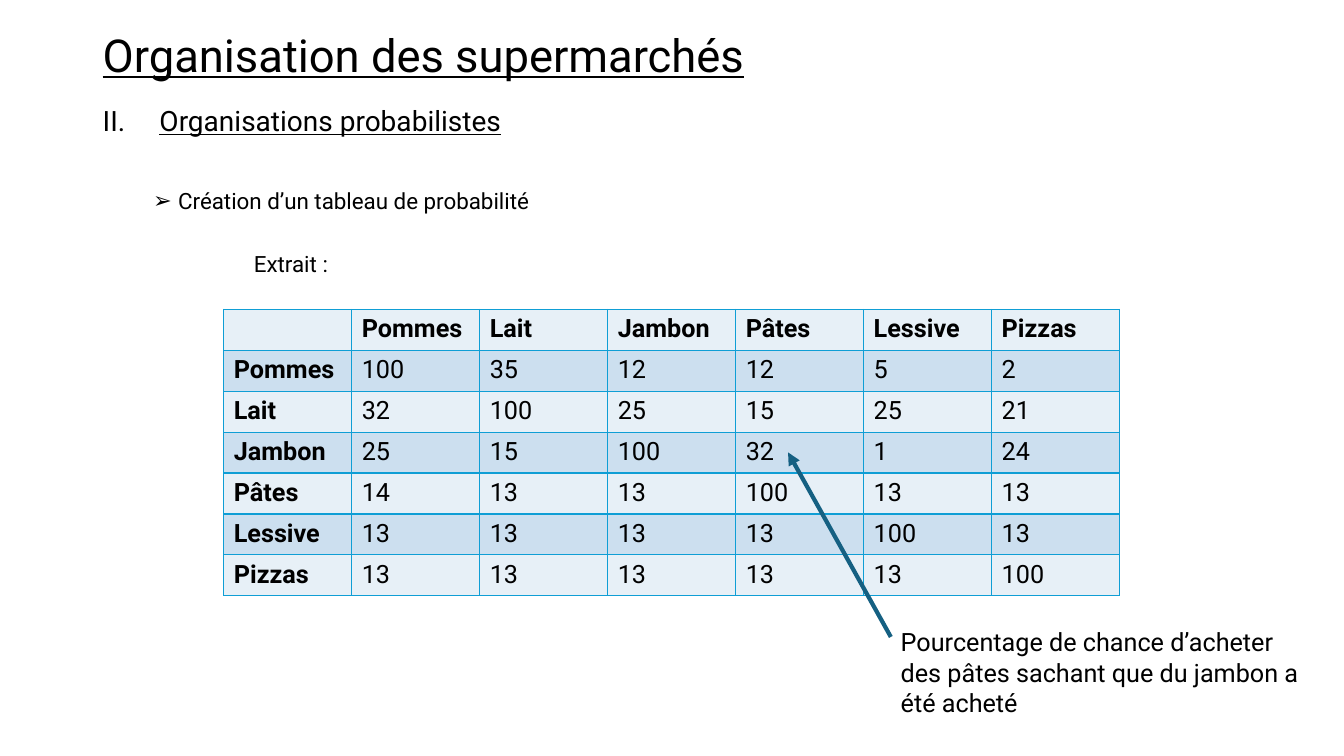
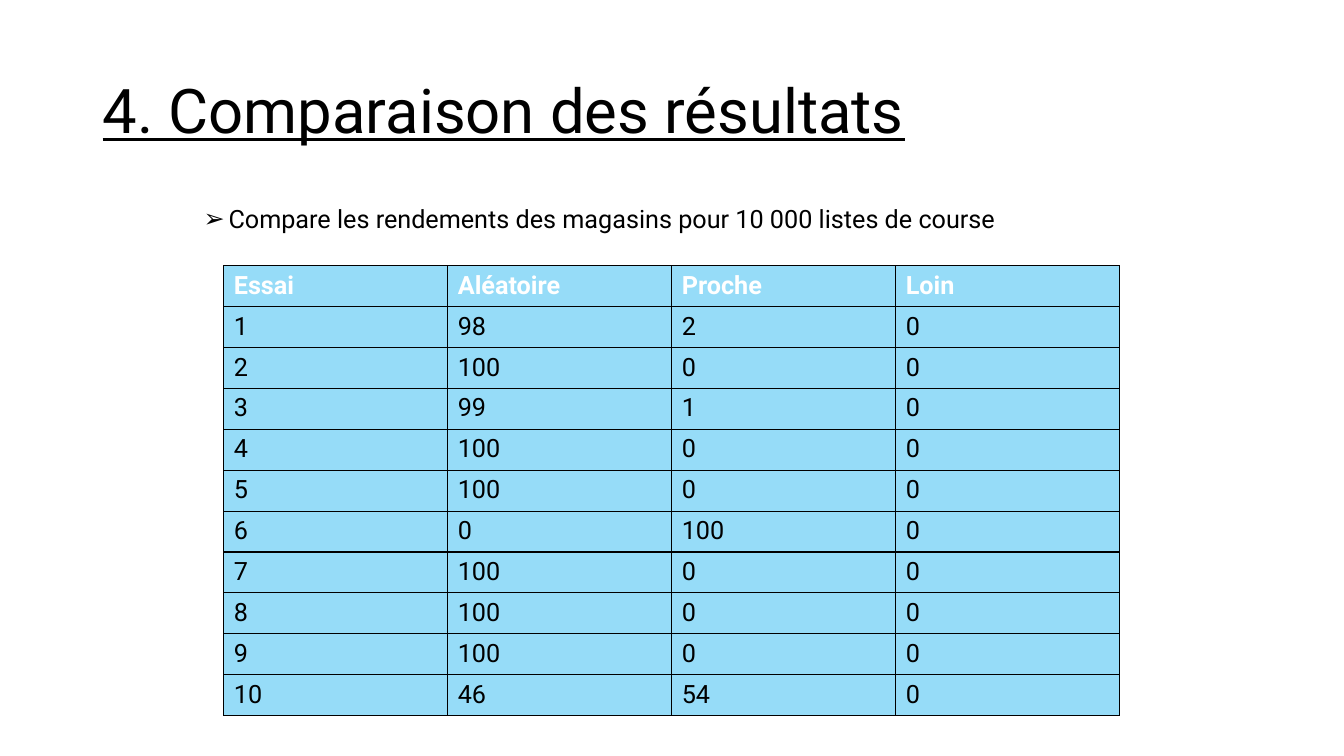
from lxml import etree
from pptx import Presentation, util as u
from pptx.dml.color import RGBColor
from pptx.enum import shapes, text
from pptx.oxml import ns

FONT = "Roboto"
BLACK, WHITE = "000000", "FFFFFF"
BORDER_BLUE, ARROW_BLUE = "0F9ED5", "156082"
PALE, MID, SKY = "E7F0F7", "CCDFEF", "96DCF8"

LEFT, WIDTH = 2.34, 29.21          # text column, cm
TABLE_LEFT, TABLE_WIDTH = 5.64, 22.58
ROW_HEIGHT = 1.03

PRODUCTS = ["Pommes", "Lait", "Jambon", "Pâtes", "Lessive", "Pizzas"]
CHANCES = [
    [100, 35, 12, 12, 5, 2],
    [32, 100, 25, 15, 25, 21],
    [25, 15, 100, 32, 1, 24],
    [14, 13, 13, 100, 13, 13],
    [13, 13, 13, 13, 100, 13],
    [13, 13, 13, 13, 13, 100],
]
SHOPS = ["Essai", "Aléatoire", "Proche", "Loin"]
TRIALS = [(98, 2, 0), (100, 0, 0), (99, 1, 0), (100, 0, 0), (100, 0, 0),
          (0, 100, 0), (100, 0, 0), (100, 0, 0), (100, 0, 0), (46, 54, 0)]


def rgb(value):
    return RGBColor.from_string(value)


def sub(parent, tag, **attrs):
    return etree.SubElement(parent, ns.qn(tag), **attrs)


def style(p, size, color=BLACK, bold=False, underline=False):
    f = p.font
    f.name, f.size, f.bold, f.underline = FONT, u.Pt(size), bold, underline
    f.color.rgb = rgb(color)


def add_box(s, box, anchor=text.MSO_ANCHOR.TOP):
    tf = s.shapes.add_textbox(*map(u.Cm, box)).text_frame
    tf.word_wrap = True
    tf.vertical_anchor = anchor
    return tf


def add_title(s, box, title, size):
    p = add_box(s, box, text.MSO_ANCHOR.MIDDLE).paragraphs[0]
    p.text = title
    p.line_spacing = 0.9
    style(p, size, underline=True)


def add_outline(s, box, items):
    """Items: text, size, underline, space before, margin, hanging, bullet."""
    tf = add_box(s, box)
    for i, (words, size, underline, before, margin, hanging, bullet) in enumerate(items):
        p = tf.paragraphs[0] if i == 0 else tf.add_paragraph()
        p.text = words
        p.line_spacing = 0.9
        p.space_before = u.Pt(before)
        pPr = p._p.get_or_add_pPr()
        pPr.set("marL", str(u.Cm(margin)))
        pPr.set("indent", str(-u.Cm(hanging)))
        if bullet == "II.":
            sub(pPr, "a:buAutoNum", type="romanUcPeriod", startAt="2")
        elif bullet:
            sub(pPr, "a:buFont", typeface="Arial")
            sub(pPr, "a:buChar", char=bullet)
        else:
            sub(pPr, "a:buNone")
        style(p, size, underline=underline)


def set_borders(cell, color):
    tcPr = cell._tc.get_or_add_tcPr()
    for i, side in enumerate(("a:lnL", "a:lnR", "a:lnT", "a:lnB")):
        ln = etree.Element(ns.qn(side), w=str(u.Pt(1)))
        sub(sub(ln, "a:solidFill"), "a:srgbClr", val=color)
        tcPr.insert(i, ln)


def add_grid(s, box, rows, fills, border, header_color=BLACK, bold_first_col=False):
    left, top, width, height = map(u.Cm, box)
    table = s.shapes.add_table(len(rows), len(rows[0]), left, top, width, height).table
    table.first_row = table.horz_banding = False
    for r, row in enumerate(rows):
        for c, value in enumerate(row):
            cell = table.cell(r, c)
            cell.fill.solid()
            cell.fill.fore_color.rgb = rgb(fills[r % len(fills)])
            set_borders(cell, border)
            p = cell.text_frame.paragraphs[0]
            p.text = str(value)
            style(p, 18, header_color if r == 0 else BLACK,
                  bold=r == 0 or (bold_first_col and c == 0))


def add_arrow(s, start, end):
    line = s.shapes.add_connector(shapes.MSO_CONNECTOR.STRAIGHT,
                                  *map(u.Cm, (*start, *end)))
    line.line.color.rgb = rgb(ARROW_BLUE)
    line.line.width = u.Pt(3)
    sub(line.line._get_or_add_ln(), "a:tailEnd", type="triangle")
    sub(line._element.spPr, "a:effectLst")


def add_callout(s, box, words, target):
    left, top = box[:2]
    tf = add_box(s, box)
    tf.auto_size = text.MSO_AUTO_SIZE.SHAPE_TO_FIT_TEXT
    p = tf.paragraphs[0]
    p.text = words
    style(p, 18)
    add_arrow(s, (left, top + 0.38), target)


def table_box(top, rows):
    return TABLE_LEFT, top, TABLE_WIDTH, ROW_HEIGHT * len(rows)


def probability_slide(s):
    add_title(s, (LEFT, 1.02, 24.05, 0.89), "Organisation des supermarchés", 32.4)
    add_outline(s, (LEFT, 2.59, WIDTH, 14.55), [
        ("Organisations probabilistes", 20, True, 0, 1.43, 1.43, "II."),
        ("Création d’un tableau de probabilité", 16, False, 37, 1.9, 0.63, "➢"),
        ("Extrait :", 16, False, 28, 3.81, 0, None),
    ])
    # Chance of buying the column's product, given the row's product
    rows = [["", *PRODUCTS]] + [[name, *line] for name, line in zip(PRODUCTS, CHANCES)]
    add_grid(s, table_box(7.8, rows), rows, (PALE, MID), BORDER_BLUE, bold_first_col=True)
    add_callout(s, (22.45, 15.67, 10.62, 2.57),
                "Pourcentage de chance d’acheter des pâtes sachant que du jambon a été acheté",
                (19.86, 11.4))


def results_slide(s):
    add_title(s, (LEFT, 1.02, WIDTH, 3.68), "4. Comparaison des résultats", 44)
    add_outline(s, (LEFT, 5.08, WIDTH, 12.09), [
        ("Compare les rendements des magasins pour 10 000 listes de course",
         18, False, 0, 3.17, 0.63, "➢"),
    ])
    # Wins of each layout, trial by trial
    rows = [SHOPS] + [[n, *wins] for n, wins in enumerate(TRIALS, 1)]
    add_grid(s, table_box(6.7, rows), rows, (SKY,), BLACK, header_color=WHITE)


def main():
    prs = Presentation()
    prs.slide_width, prs.slide_height = u.Cm(33.87), u.Cm(19.05)
    for build in (probability_slide, results_slide):
        build(prs.slides.add_slide(prs.slide_layouts[6]))
    prs.save("out.pptx")


if __name__ == "__main__":
    main()
